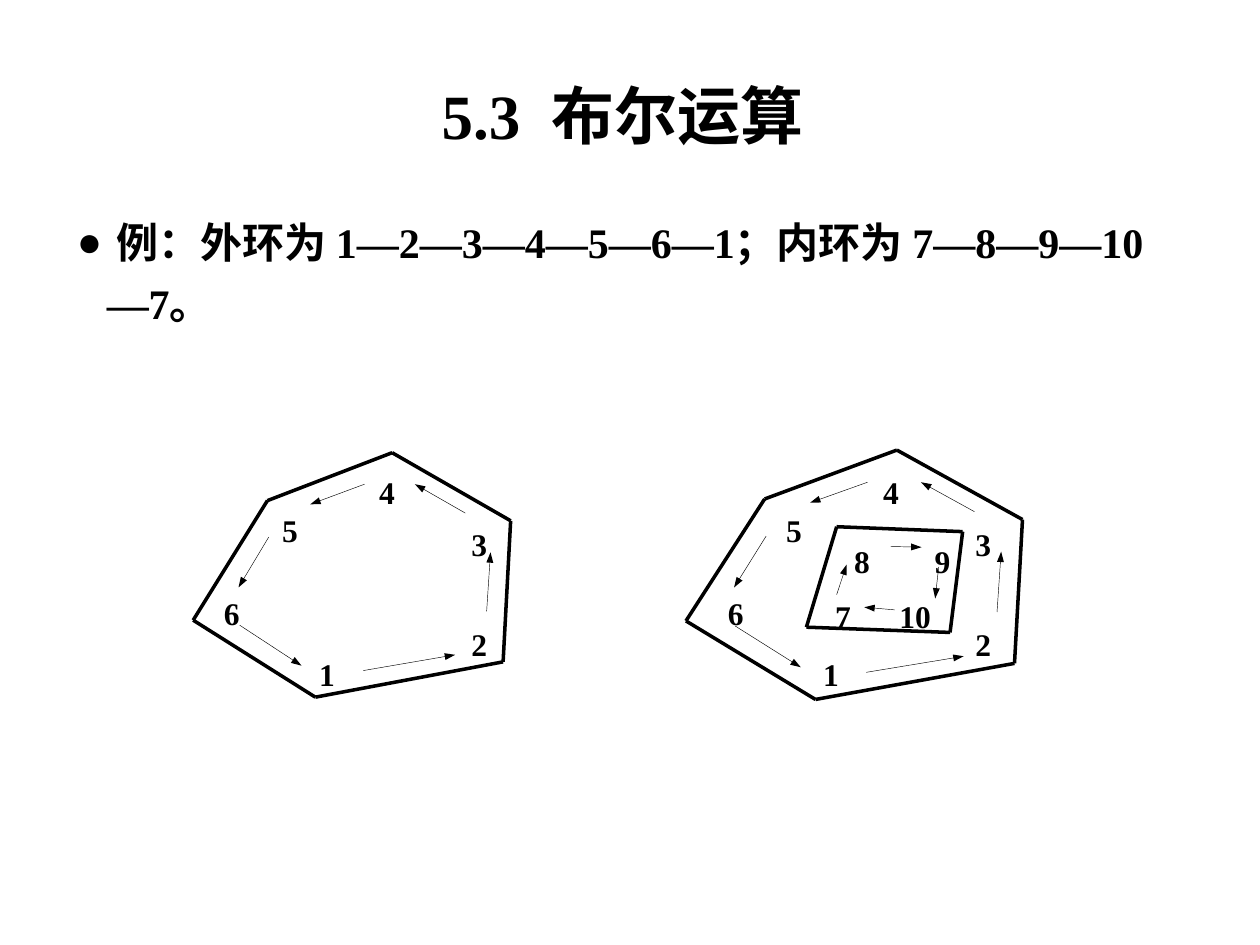
from lxml import etree
from pptx import Presentation
from pptx.dml.color import RGBColor
from pptx.enum.shapes import MSO_CONNECTOR
from pptx.enum.text import MSO_ANCHOR, MSO_AUTO_SIZE, PP_ALIGN
from pptx.oxml.ns import qn
from pptx.util import Pt

STRAIGHT = MSO_CONNECTOR.STRAIGHT
TOP, MIDDLE = MSO_ANCHOR.TOP, MSO_ANCHOR.MIDDLE
CENTER, JUSTIFY, LEFT = PP_ALIGN.CENTER, PP_ALIGN.JUSTIFY, PP_ALIGN.LEFT
BLACK = RGBColor(0, 0, 0)
LATIN, CHINESE = "Times New Roman", "Noto Sans CJK SC"
SIDE_WIDTH, ARROW_WIDTH = 0, 0.25
BULLET_INDENT = 17
NARROW, WIDE, LABEL_HEIGHT = 42.5, 53.3, 51

# Runs: text, Latin font, East Asian font
TITLE = [("5.3  布尔运算 ", LATIN, CHINESE)]
EXAMPLE = [
    (" 例：外环为 ", CHINESE, CHINESE),
    ("1—2—3—4—5—6—1", LATIN, LATIN),
    ("；内环为 ", CHINESE, CHINESE),
    ("7—8—9—10—7", LATIN, LATIN),
    ("。", CHINESE, CHINESE),
]

# Outer ring, relative to its own corner
OUTER_CORNERS = [(69.8, 139.7), (177.1, 119.5), (181.4, 38.9),
                 (113.7, 0), (42.4, 27.4), (0, 95.7)]
OUTER_ARROWS = [
    ((97.2, 124.5), (149.7, 115.5)),
    ((167.7, 90.7), (169.9, 56.9)),
    ((155.5, 34.5), (126.7, 18)),
    ((97.9, 18), (66.9, 29.5)),
    ((43.2, 48.2), (25.9, 77)),
    ((26.6, 98.6), (61.9, 121.7)),
]
# Labels: text, left, top, width
OUTER_LABELS = [
    ("1", 175.2, 366.7, NARROW), ("2", 262.3, 349.4, WIDE),
    ("3", 262.3, 292.2, NARROW), ("4", 209.5, 262.7, NARROW),
    ("5", 154.2, 283.9, WIDE), ("6", 120.9, 331.4, NARROW),
]
# Each outer ring: origin, scale, shift of the labels
OUTER_RINGS = [
    ((110.4, 258.7), (1, 1), 0),
    ((392, 257.2), (1.06, 1.02), 288),
]

INNER_CORNERS = [(460.8, 358.4), (478.1, 301), (550.1, 303.8), (542.9, 361.4)]
INNER_ARROWS = [
    ((478.1, 339.8), (483.8, 322.6)),
    ((509, 312.3), (526.6, 312.7)),
    ((536.4, 324), (534.4, 342)),
    ((511.2, 348.5), (493.9, 347)),
]
INNER_LABELS = [
    ("7", 470.2, 333.4, WIDE), ("8", 481, 301.7, NARROW),
    ("9", 527, 301.7, NARROW), ("10", 506.9, 333.4, WIDE),
]


def add_text(slide, box, runs, size, align, anchor=TOP, line_spacing=None, bullet=None):
    shape = slide.shapes.add_textbox(*[Pt(value) for value in box])
    frame = shape.text_frame
    frame.word_wrap = True
    frame.vertical_anchor = anchor
    paragraph = frame.paragraphs[0]
    if bullet:
        properties = paragraph._p.get_or_add_pPr()
        properties.set("marL", str(Pt(BULLET_INDENT)))
        properties.set("indent", str(-Pt(BULLET_INDENT)))
        etree.SubElement(properties, qn("a:buFont")).set("typeface", LATIN)
        etree.SubElement(properties, qn("a:buChar")).set("char", bullet)
    paragraph.alignment = align
    paragraph.line_spacing = line_spacing
    for text, latin, east_asian in runs:
        run = paragraph.add_run()
        run.text = text
        run.font.size = Pt(size)
        run.font.bold = True
        run.font.color.rgb = BLACK
        run.font.name = latin
        etree.SubElement(run._r.get_or_add_rPr(), qn("a:ea")).set("typeface", east_asian)
    return shape


def add_line(slide, start, end, width):
    connector = slide.shapes.add_connector(STRAIGHT, *[Pt(value) for value in start + end])
    connector.line.color.rgb = BLACK
    connector.line.width = Pt(width)
    etree.SubElement(connector._element.spPr, qn("a:effectLst"))
    return connector


def add_arrow(slide, start, tip):
    arrow = add_line(slide, start, tip, ARROW_WIDTH)
    head = etree.SubElement(arrow.line._get_or_add_ln(), qn("a:tailEnd"))
    for name, value in (("type", "triangle"), ("w", "sm"), ("len", "med")):
        head.set(name, value)


def add_ring(slide, corners, arrows, labels):
    for start, end in zip(corners, corners[1:] + corners[:1]):
        add_line(slide, start, end, SIDE_WIDTH)
    for start, tip in arrows:
        add_arrow(slide, start, tip)
    for text, left, top, width in labels:
        add_text(slide, (left, top, width, LABEL_HEIGHT), [(text, LATIN, LATIN)],
                 18, JUSTIFY, line_spacing=1.2)


def main():
    presentation = Presentation()
    presentation.slide_width, presentation.slide_height = Pt(720), Pt(540)
    slide = presentation.slides.add_slide(presentation.slide_layouts[6])

    add_text(slide, (54, 20.4, 612, 90), TITLE, 36, CENTER, anchor=MIDDLE)
    for origin, scale, label_shift in OUTER_RINGS:
        def place(point):
            return tuple(o + s * p for o, s, p in zip(origin, scale, point))

        add_ring(slide,
                 [place(corner) for corner in OUTER_CORNERS],
                 [(place(start), place(tip)) for start, tip in OUTER_ARROWS],
                 [(text, left + label_shift, top, width)
                  for text, left, top, width in OUTER_LABELS])
    add_ring(slide, INNER_CORNERS, INNER_ARROWS, INNER_LABELS)
    example = add_text(slide, (36.9, 114.7, 646.6, 76.3), EXAMPLE, 24, LEFT,
                       line_spacing=1.2, bullet="●")
    example.text_frame.auto_size = MSO_AUTO_SIZE.SHAPE_TO_FIT_TEXT

    presentation.save("out.pptx")


if __name__ == "__main__":
    main()
